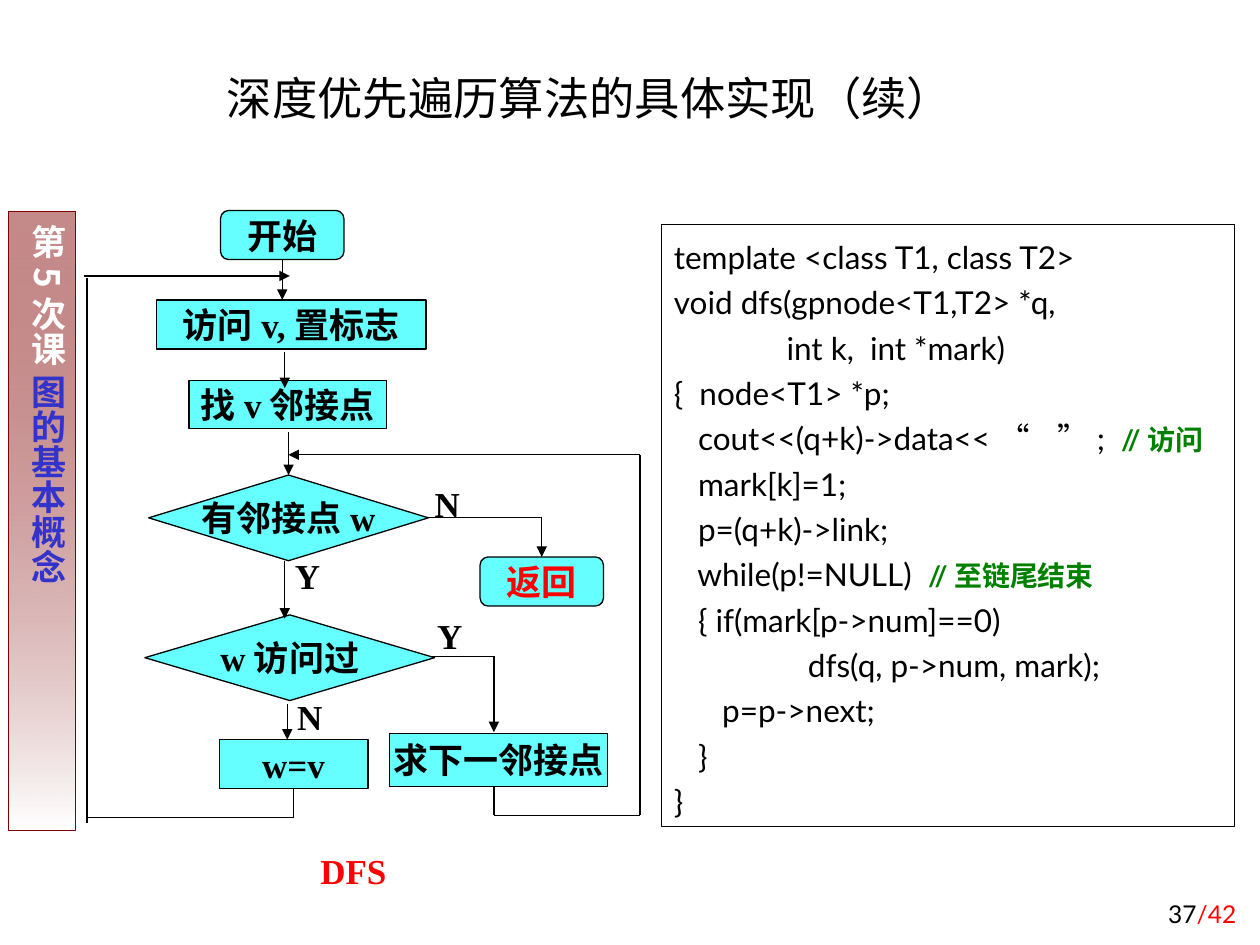
from lxml import etree
from pptx import Presentation
from pptx.dml.color import RGBColor
from pptx.enum.shapes import MSO_CONNECTOR, MSO_SHAPE as Shape
from pptx.enum.text import MSO_ANCHOR as Anchor, PP_ALIGN as Align
from pptx.oxml.ns import qn
from pptx.util import Inches, Pt

COLORS = {"black": "000000", "white": "FFFFFF", "red": "FF0000", "blue": "3333CC",
          "green": "008000", "cyan": "66FFFF", "maroon": "800000"}
SANS, SERIF, CJK = "Lato", "Times New Roman", "Noto Sans CJK SC"
TOP, LEFT, BOTTOM, RIGHT = range(4)

TITLE = "深度优先遍历算法的具体实现（续）"
SIDEBAR = [("第5次课 ", "white"), ("图的基本概念", "blue")]
PAGE = [("37", "black"), ("/42", "red")]
CODE = [
    ("template <class T1, class T2>", ""),
    ("void dfs(gpnode<T1,T2> *q,", ""),
    ("              int k,  int *mark)", ""),
    ("{  node<T1> *p;", ""),
    ("   cout<<(q+k)->data<<“    ”;  ", "//访问"),
    ("   mark[k]=1;", ""),
    ("   p=(q+k)->link;", ""),
    ("   while(p!=NULL)  ", "//至链尾结束"),
    ("   { if(mark[p->num]==0)", ""),
    ("\t dfs(q, p->num, mark);", ""),
    ("      p=p->next;", ""),
    ("   }", ""),
    ("}", ""),
]
ROUNDED, PROCESS, DECISION = (Shape.FLOWCHART_ALTERNATE_PROCESS, Shape.FLOWCHART_PROCESS,
                              Shape.FLOWCHART_DECISION)
NODES = {
    "start": (ROUNDED, "开始", (1.75, 1.67, 0.98, 0.39), SERIF, "black"),
    "visit": (PROCESS, "访问v,置标志", (1.24, 2.38, 2.14, 0.39), SERIF, "black"),
    "find": (PROCESS, "找v邻接点", (1.5, 3.02, 1.57, 0.38), SERIF, "black"),
    "has_neighbor": (DECISION, "有邻接点w", (1.18, 3.77, 2.22, 0.68), SERIF, "black"),
    "next_neighbor": (PROCESS, "求下一邻接点", (3.09, 5.82, 1.73, 0.42), SERIF, "black"),
    "assign": (PROCESS, "w=v", (1.74, 5.87, 1.18, 0.39), SERIF, "black"),
    "visited": (DECISION, "w访问过", (1.15, 4.88, 2.3, 0.68), SERIF, "black"),
    "return": (ROUNDED, "返回", (3.81, 4.42, 0.98, 0.39), SANS, "red"),
}
ARROWS = [
    (("start", BOTTOM), (2.24, 2.38)),
    ((2.26, 2.79), (2.26, 3.08)),
    ((2.29, 3.43), ("has_neighbor", TOP)),
    ((2.26, 4.45), (2.26, 4.91)),
    ((4.3, 4.11), ("return", TOP)),
    ((0.67, 2.19), (2.3, 2.19)),
    ((2.28, 5.59), (2.28, 5.87)),
    ((3.92, 5.21), (3.92, 5.81)),
    ((5.08, 3.61), (2.29, 3.61)),
]
LINES = [
    (("has_neighbor", RIGHT), (4.3, 4.11)),
    ((0.69, 6.53), (0.69, 2.21)),
    (("assign", BOTTOM), (2.33, 6.49)),
    ((2.33, 6.49), (0.69, 6.49)),
    ((3.43, 5.21), (3.92, 5.21)),
    ((3.92, 6.24), (3.92, 6.47)),
    ((3.92, 6.47), (5.08, 6.47)),
    ((5.08, 6.47), (5.08, 3.61)),
]
LABELS = [
    ("N", (3.35, 3.78, 0.4, 0.43), "black"),
    ("Y", (2.24, 4.35, 0.4, 0.43), "black"),
    ("N", (2.26, 5.47, 0.4, 0.43), "black"),
    ("Y", (3.37, 4.83, 0.4, 0.43), "black"),
    ("DFS", (2.44, 6.69, 0.73, 0.43), "red"),
]


def rgb(name):
    return RGBColor.from_string(COLORS[name])


def add_run(paragraph, text, size, font, color, bold=False):
    run = paragraph.add_run()
    run.text = text
    run.font.size = Pt(size)
    run.font.name = font
    run.font.bold = bold
    run.font.color.rgb = rgb(color)
    latin = run.font._element.find(qn("a:latin"))
    east_asian = etree.Element(qn("a:ea"), typeface=CJK)
    latin.addnext(east_asian)


def set_frame(shape, anchor, align, wrap=True):
    frame = shape.text_frame
    frame.word_wrap = wrap
    frame.vertical_anchor = anchor
    frame.paragraphs[0].alignment = align
    return frame.paragraphs[0]


def add_box(slide, kind, place, fill=None, line="black"):
    shape = slide.shapes.add_shape(kind, *map(Inches, place))
    shape.shadow.inherit = False
    if fill:
        shape.fill.solid()
        shape.fill.fore_color.rgb = rgb(fill)
    shape.line.color.rgb = rgb(line)
    shape.line.width = Pt(0.75)
    return shape


def add_text(slide, place, runs, size, font, anchor, align, bold=False, wrap=True):
    box = slide.shapes.add_textbox(*map(Inches, place))
    paragraph = set_frame(box, anchor, align, wrap)
    for text, color in runs:
        add_run(paragraph, text, size, font, color, bold)


def add_sidebar(slide):
    bar = add_box(slide, Shape.RECTANGLE, (0.07, 1.68, 0.53, 4.91), line="maroon")
    bar.fill.gradient()
    bar.fill.gradient_angle = 270
    for stop, color, position in zip(bar.fill.gradient_stops, ("maroon", "white"), (0, 1)):
        stop.color.rgb = rgb(color)
        stop.position = position
    first_color = bar._element.spPr.find(".//" + qn("a:srgbClr"))
    etree.SubElement(first_color, qn("a:alpha"), val="46000")
    paragraph = set_frame(bar, Anchor.TOP, Align.CENTER)
    frame = bar.text_frame
    frame.margin_left = frame.margin_right = Inches(0.05)
    frame.margin_top = frame.margin_bottom = Inches(0.1)
    frame._txBody.bodyPr.set("vert", "eaVert")
    for text, color in SIDEBAR:
        add_run(paragraph, text, 20, CJK, color, True)


def add_code(slide):
    box = add_box(slide, Shape.RECTANGLE, (5.25, 1.78, 4.55, 4.78), "white")
    paragraph = set_frame(box, Anchor.TOP, Align.LEFT)
    for index, (code, comment) in enumerate(CODE):
        if index:
            paragraph = box.text_frame.add_paragraph()
        paragraph.alignment = Align.LEFT
        paragraph.line_spacing = 1.2
        if "\t" in code:
            tabs = etree.SubElement(paragraph._p.get_or_add_pPr(), qn("a:tabLst"))
            etree.SubElement(tabs, qn("a:tab"), pos=str(Inches(1)), algn="l")
        add_run(paragraph, code, 18, SANS, "black")
        if comment:
            add_run(paragraph, comment, 16, SANS, "green", True)


def add_line(slide, nodes, start, end, arrow):
    line = slide.shapes.add_connector(MSO_CONNECTOR.STRAIGHT, 0, 0, 0, 0)
    if start[0] in nodes:
        line.begin_connect(nodes[start[0]], start[1])
    else:
        line.begin_x, line.begin_y = map(Inches, start)
    if end[0] in nodes:
        line.end_connect(nodes[end[0]], end[1])
    else:
        line.end_x, line.end_y = map(Inches, end)
    line.line.color.rgb = rgb("black")
    line.line.width = Pt(0.75)
    if arrow:
        etree.SubElement(line.line._get_or_add_ln(), qn("a:tailEnd"), type="triangle")
    etree.SubElement(line._element.spPr, qn("a:effectLst"))


def main():
    presentation = Presentation()
    presentation.slide_width, presentation.slide_height = Inches(10), Inches(7.5)
    slide = presentation.slides.add_slide(presentation.slide_layouts[6])

    add_sidebar(slide)
    add_text(slide, (7.83, 6.92, 2.08, 0.5), PAGE, 14, SANS, Anchor.BOTTOM, Align.RIGHT)
    add_code(slide)
    add_text(slide, (1.61, 0.36, 6.14, 0.68), [(TITLE, "black")], 25.9, SANS,
             Anchor.BOTTOM, Align.CENTER)

    nodes = {}
    for name, (kind, text, place, font, color) in NODES.items():
        nodes[name] = add_box(slide, kind, place, "cyan")
        paragraph = set_frame(nodes[name], Anchor.MIDDLE, Align.CENTER, False)
        add_run(paragraph, text, 20, font, color, True)
    for group, arrow in ((ARROWS, True), (LINES, False)):
        for start, end in group:
            add_line(slide, nodes, start, end, arrow)
    for text, place, color in LABELS:
        add_text(slide, place, [(text, color)], 20, SERIF, Anchor.MIDDLE, Align.CENTER,
                 True, False)
    presentation.save("out.pptx")


if __name__ == "__main__":
    main()
